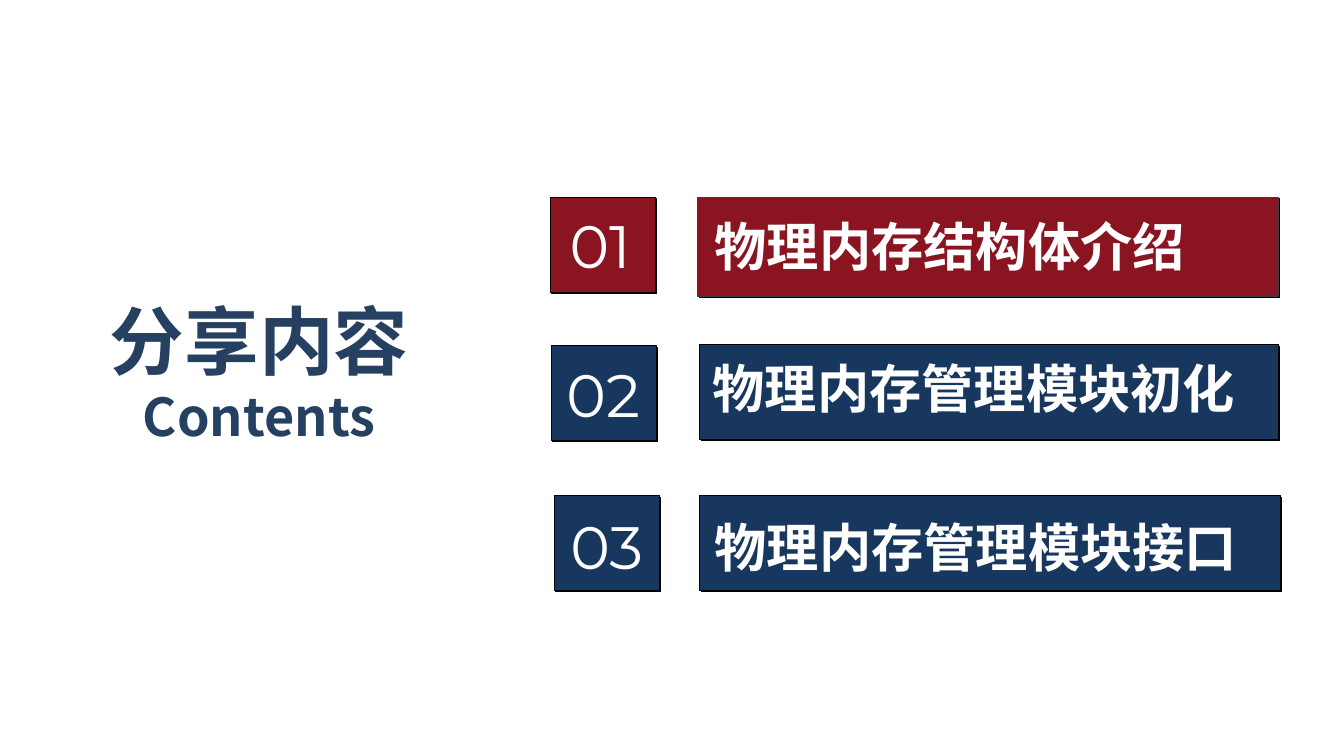
"""Build the contents slide with three numbered topics."""
from typing import Any, NamedTuple

from lxml import etree
from pptx import Presentation, util as u
from pptx.dml.color import RGBColor
from pptx.enum import shapes, text
from pptx.oxml import ns

COLORS = {
    "white": "FFFFFF", "black": "000000", "red": "8A1420",
    "navy": "17375E", "slate": "323F4F", "title": "254061",
}
CJK = "Noto Sans CJK SC"
NUMBER = {"size": u.Pt(42.7), "name": "Montserrat", "bold": False}
TOPIC = {"size": u.Pt(37.3), "name": CJK, "bold": True}
HEADING = {"size": u.Pt(53.3), "name": CJK, "bold": True}
FRAME = {"word_wrap": True, "auto_size": text.MSO_AUTO_SIZE.SHAPE_TO_FIT_TEXT}
SHADOW = {"blurRad": "0", "dist": str(u.Pt(1.4)), "dir": "2700000",
          "algn": "tl", "rotWithShape": "0"}


class Box(NamedTuple):
    left: float
    top: float
    width: float
    height: float


class Line(NamedTuple):
    words: str
    font: dict[str, Any]
    color: str


class Item(NamedTuple):
    number: str
    topic: str
    fill: str
    topic_line: str
    number_box: Box
    number_text: Box
    topic_box: Box
    topic_text: Box


ITEMS = [
    Item("01", "物理内存结构体介绍", "red", "slate",
         Box(5.46, 1.96, 1.04, 0.94), Box(5.55, 2.02, 1.12, 0.82),
         Box(6.92, 1.96, 5.76, 0.98), Box(6.99, 2.08, 5.62, 0.73)),
    Item("02", "物理内存管理模块初化", "navy", "black",
         Box(5.47, 3.43, 1.04, 0.94), Box(5.52, 3.5, 1.12, 0.82),
         Box(6.94, 3.42, 5.74, 0.94), Box(6.97, 3.49, 5.71, 0.73)),
    Item("03", "物理内存管理模块接口", "navy", "black",
         Box(5.5, 4.92, 1.04, 0.94), Box(5.56, 5.01, 1.12, 0.82),
         Box(6.94, 4.92, 5.76, 0.94), Box(6.99, 5.06, 5.71, 0.73)),
]


def rgb(name: str) -> RGBColor:
    return RGBColor.from_string(COLORS[name])


def apply(target: Any, values: dict[str, Any]) -> None:
    for name, value in values.items():
        setattr(target, name, value)


def add_panel(s: Any, box: Box, fill: str, line: str) -> None:
    sp = s.shapes.add_shape(shapes.MSO_SHAPE.RECTANGLE, *map(u.Inches, box))
    sp.fill.solid()
    sp.fill.fore_color.rgb = rgb(fill)
    sp.line.color.rgb = rgb(line)
    sp.line.width = u.Pt(0.75)
    sp.shadow.inherit = False
    effects = sp._element.spPr.find(ns.qn("a:effectLst"))
    shadow = etree.SubElement(effects, ns.qn("a:outerShdw"), SHADOW)
    etree.SubElement(shadow, ns.qn("a:srgbClr"), val=COLORS["black"])


def add_text(s: Any, box: Box, lines: list[Line], wrap: bool = True,
             align: Any = text.PP_ALIGN.LEFT) -> None:
    tf = s.shapes.add_textbox(*map(u.Inches, box)).text_frame
    apply(tf, FRAME | {"word_wrap": wrap})
    for i, line in enumerate(lines):
        p = tf.add_paragraph() if i else tf.paragraphs[0]
        p.alignment = align
        r = p.add_run()
        r.text = line.words
        apply(r.font, line.font)
        r.font.color.rgb = rgb(line.color)
        etree.SubElement(r._r.get_or_add_rPr(), ns.qn("a:ea"),
                         typeface=line.font["name"])


def main() -> None:
    prs = Presentation()
    prs.slide_width, prs.slide_height = u.Inches(13.33), u.Inches(7.5)
    s = prs.slides.add_slide(prs.slide_layouts[6])
    for item in ITEMS:
        add_panel(s, item.number_box, item.fill, "black")
        add_text(s, item.number_text, [Line(item.number, NUMBER, "white")])
        add_panel(s, item.topic_box, item.fill, item.topic_line)
        add_text(s, item.topic_text, [Line(item.topic, TOPIC, "white")])
    add_text(s, Box(0.97, 2.88, 3.2, 1.63),
             [Line("分享内容", HEADING, "title"), Line("Contents", TOPIC, "title")],
             wrap=False, align=text.PP_ALIGN.CENTER)
    prs.save("out.pptx")


if __name__ == "__main__":
    main()
